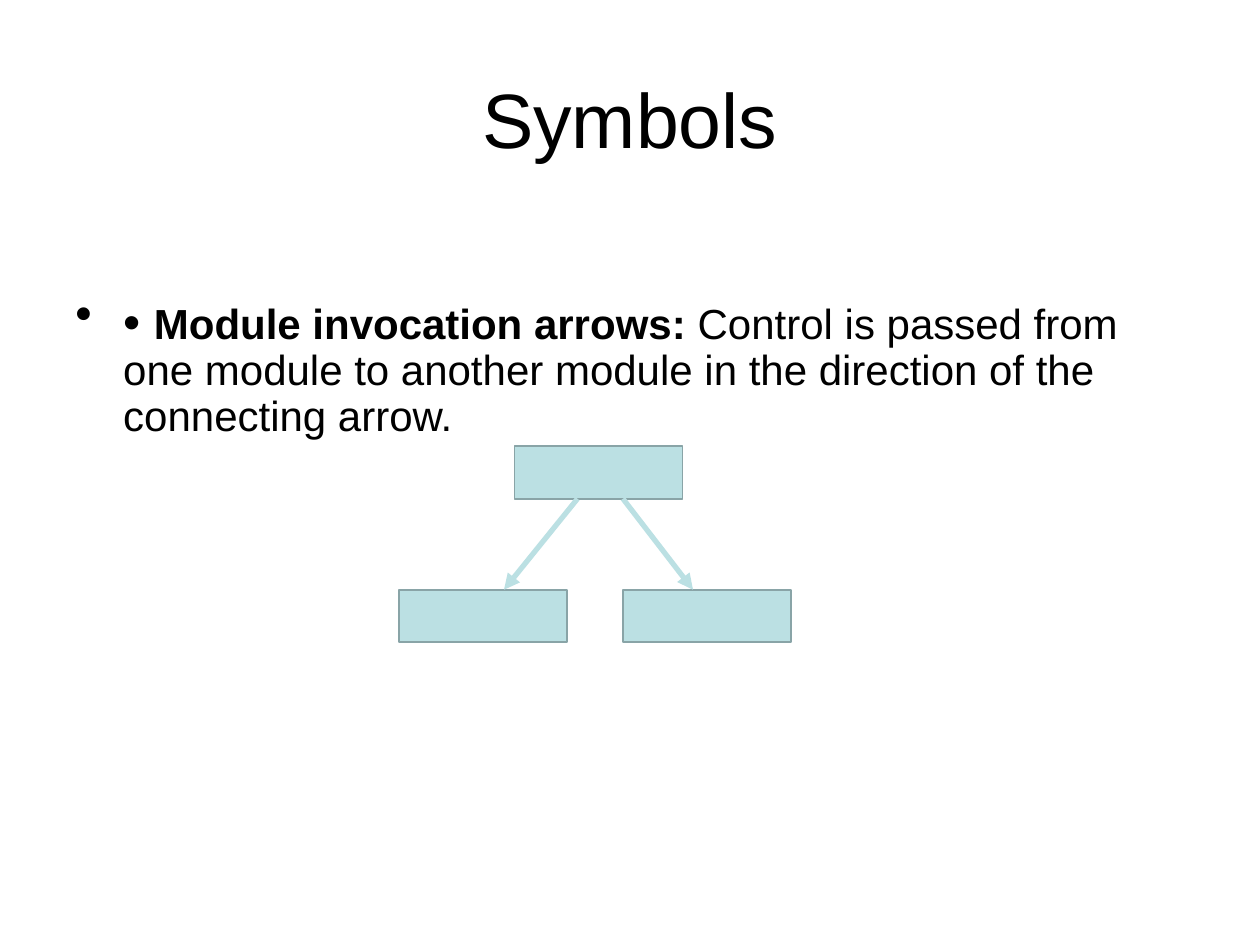
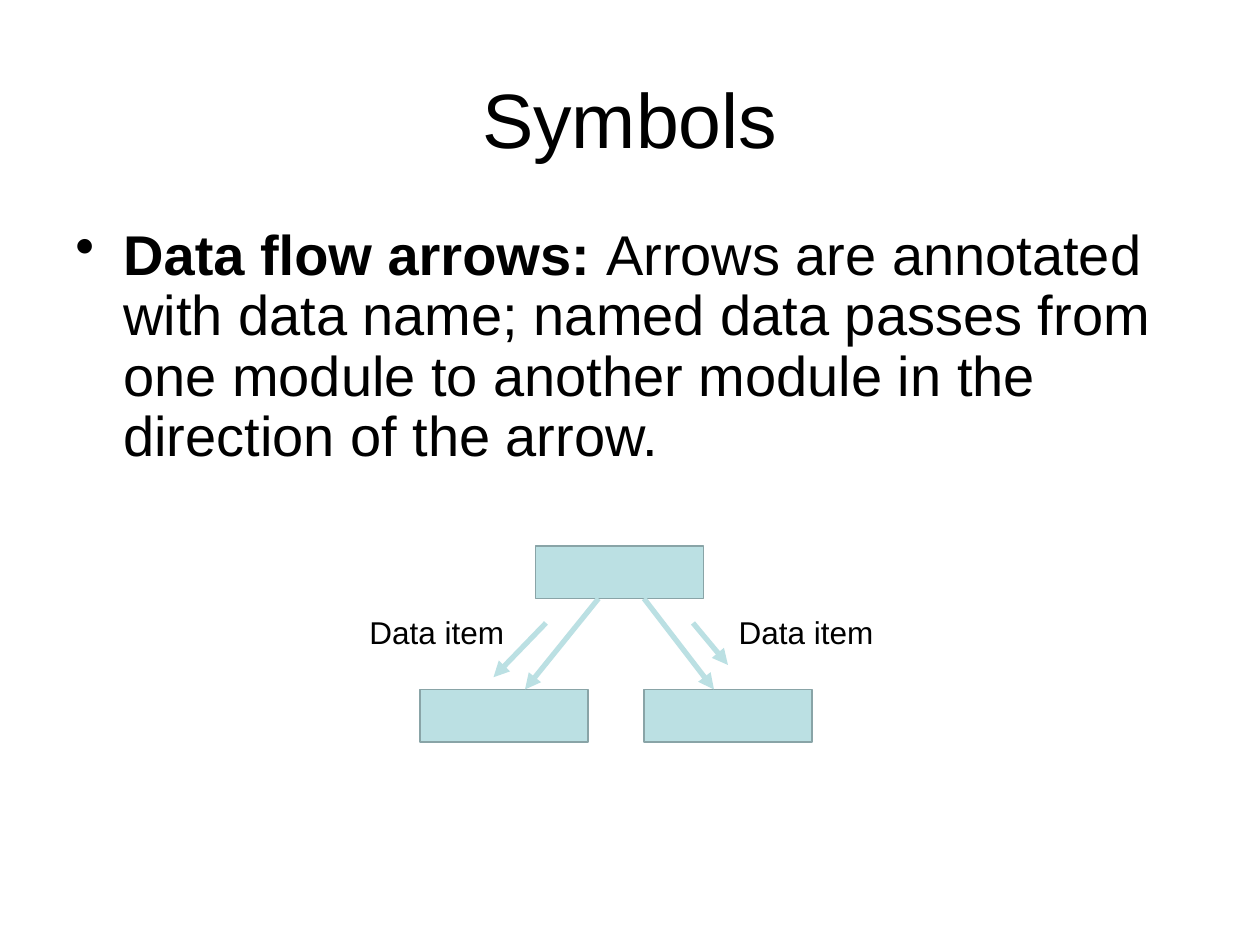
import pptx
import pptx.dml.color
import pptx.enum.shapes
import pptx.enum.text
import pptx.oxml.ns
import pptx.util
from lxml import etree

BLACK = pptx.dml.color.RGBColor(0x00, 0x00, 0x00)
MODULE_FILL = pptx.dml.color.RGBColor(0xBB, 0xE0, 0xE3)
MODULE_LINE = pptx.dml.color.RGBColor(0x89, 0xA4, 0xA7)
FONT = "Arial"

# The slide is a grid of 360 columns and 270 rows, 36 to the inch.
COLUMNS, ROWS = 360, 270
CELL = pptx.util.Inches(1) // 36
MARGIN = 18
BODY_BOTTOM = 241
INDENT = pptx.util.Inches(0.38)

MODULE_WIDTH, MODULE_HEIGHT = 48, 15
LEVEL_STEP = 41
ROOT_OFFSET = 33
CHILD_STEP = 64


def cells(*counts):
    return [round(count * CELL) for count in counts]


def add_child(parent, tag, **attributes):
    return etree.SubElement(parent, pptx.oxml.ns.qn(tag), attributes)


def add_text_box(slide, left, top, width, height):
    text_frame = slide.shapes.add_textbox(*cells(left, top, width, height)).text_frame
    text_frame.word_wrap = True
    return text_frame


def add_run(paragraph, text, size, bold=False):
    run = paragraph.add_run()
    run.text = text
    run.font.name = FONT
    run.font.size = pptx.util.Pt(size)
    run.font.bold = bold
    run.font.color.rgb = BLACK


def add_title(slide, text):
    text_frame = add_text_box(slide, MARGIN, 11, COLUMNS - 2 * MARGIN, 45)
    text_frame.vertical_anchor = pptx.enum.text.MSO_ANCHOR.MIDDLE
    paragraph = text_frame.paragraphs[0]
    paragraph.alignment = pptx.enum.text.PP_ALIGN.CENTER
    add_run(paragraph, text, 44)


def add_bullet_text(slide, top, runs):
    """Add one bulleted paragraph; each run is (text, size, bold)."""
    text_frame = add_text_box(slide, MARGIN, top, COLUMNS - 2 * MARGIN, BODY_BOTTOM - top)
    paragraph = text_frame.paragraphs[0]
    properties = paragraph._p.get_or_add_pPr()
    properties.set("marL", str(INDENT))
    properties.set("indent", str(-INDENT))
    add_child(add_child(properties, "a:buClr"), "a:srgbClr", val=str(BLACK))
    add_child(properties, "a:buChar", char="•")
    paragraph.line_spacing = 0.9
    for text, size, bold in runs:
        add_run(paragraph, text, size, bold)


def add_module(slide, left, top):
    module = slide.shapes.add_shape(
        pptx.enum.shapes.MSO_SHAPE.RECTANGLE,
        *cells(left, top, MODULE_WIDTH, MODULE_HEIGHT))
    module.shadow.inherit = False
    module.fill.solid()
    module.fill.fore_color.rgb = MODULE_FILL
    module.line.color.rgb = MODULE_LINE
    module.line.width = pptx.util.Pt(1)


def add_arrow(slide, start, end):
    arrow = slide.shapes.add_connector(
        pptx.enum.shapes.MSO_CONNECTOR.STRAIGHT, *cells(*start, *end))
    arrow.line.color.rgb = MODULE_FILL
    arrow.line.width = pptx.util.Pt(3)
    add_child(arrow.line._get_or_add_ln(), "a:tailEnd", type="triangle")
    add_child(arrow._element.spPr, "a:effectLst")


def add_module_tree(slide, left, top):
    """Draw a module that invokes two others; left is that of the first child."""
    child_top = top + LEVEL_STEP
    root_bottom = top + MODULE_HEIGHT
    add_module(slide, left + ROOT_OFFSET, top)
    for child in range(2):
        add_module(slide, left + child * CHILD_STEP, child_top)
    for start, end in ((51, 30), (64, 84)):
        add_arrow(slide, (left + start, root_bottom), (left + end, child_top))


def add_data_label(slide, left, top):
    text_frame = add_text_box(slide, left, top, MODULE_WIDTH, 14.5)
    add_run(text_frame.paragraphs[0], "Data item", 18)


def add_symbols_slide(presentation):
    slide = presentation.slides.add_slide(presentation.slide_layouts[6])
    add_title(slide, "Symbols")
    return slide


def add_invocation_slide(presentation):
    slide = add_symbols_slide(presentation)
    add_bullet_text(slide, 83, (
        ("• ", 28, False),
        ("Module invocation arrows: ", 24, True),
        ("Control is passed from one module to another module in the direction "
         "of the connecting arrow.", 24, False)))
    add_module_tree(slide, 114, 127.5)


def add_data_flow_slide(presentation):
    slide = add_symbols_slide(presentation)
    add_bullet_text(slide, 63, (
        ("Data flow arrows: ", 32, True),
        ("Arrows are annotated with data name; named data passes from one module "
         "to another module in the direction of the arrow.", 32, False)))
    add_module_tree(slide, 120, 156)
    add_arrow(slide, (156, 178), (141, 193.5))
    add_arrow(slide, (198, 178), (208, 190))
    for left in (102, 207.5):
        add_data_label(slide, left, 173.5)


def main():
    presentation = pptx.Presentation()
    presentation.slide_width, presentation.slide_height = cells(COLUMNS, ROWS)
    add_invocation_slide(presentation)
    add_data_flow_slide(presentation)
    presentation.save("out.pptx")


if __name__ == "__main__":
    main()
